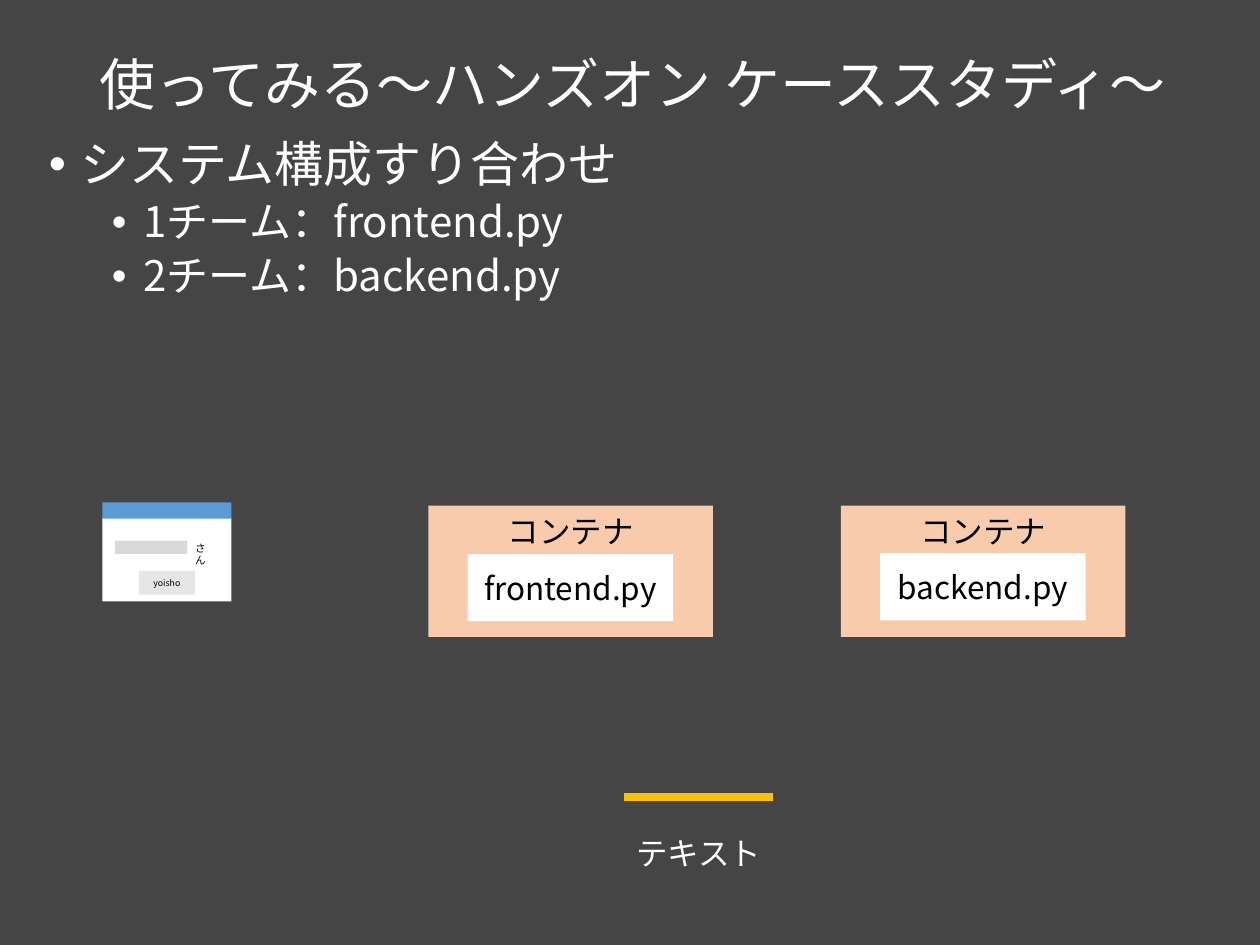
from typing import NamedTuple

from lxml.etree import SubElement as Sub
from pptx import Presentation
from pptx.dml.color import RGBColor as Rgb
from pptx.enum.shapes import MSO_CONNECTOR as Conn, MSO_SHAPE as Geo
from pptx.enum.text import MSO_ANCHOR as Anchor, MSO_AUTO_SIZE as Fit, PP_ALIGN as Align
from pptx.oxml.ns import qn
from pptx.util import Pt

FONT = "Noto Sans CJK JP"
HEX = {
    "back": "454545", "white": "FFFFFF", "black": "000000", "field": "D9D9D9",
    "button": "E7E6E6", "bar": "5B9BD5", "peach": "F8CBAD", "gold": "FFC000",
}
FRAME = {"word_wrap": True, "auto_size": Fit.NONE}


class Box(NamedTuple):
    left: float
    top: float
    width: float
    height: float
    fill: str = ""
    text: str = ""
    size: float = 18
    ink: str = "black"
    anchor: Anchor = Anchor.MIDDLE


class Item(NamedTuple):
    text: str
    size: float
    level: int
    indent: float
    space: float


def color(name: str) -> Rgb:
    return Rgb.from_string(HEX[name])


def apply(target, values: dict) -> None:
    for key, value in values.items():
        setattr(target, key, value)


def write(para, text: str, size: float, ink: str) -> None:
    run = para.add_run()
    run.text = text
    apply(run.font, {"name": FONT, "size": Pt(size)})
    run.font.color.rgb = color(ink)
    Sub(run.font._element, qn("a:ea"), typeface=FONT)


def draw(shapes, box: Box) -> None:
    place = [Pt(n) for n in box[:4]]
    if box.fill:
        shape = shapes.add_shape(Geo.RECTANGLE, *place)
        shape.shadow.inherit = False
        shape.fill.solid()
        shape.fill.fore_color.rgb = color(box.fill)
        shape.line.fill.background()
    else:
        shape = shapes.add_textbox(*place)
    if box.text:
        frame = shape.text_frame
        apply(frame, FRAME | {"vertical_anchor": box.anchor})
        para = frame.paragraphs[0]
        para.alignment = Align.CENTER if box.fill else Align.LEFT
        write(para, box.text, box.size, box.ink)


def bullet(para, item: Item) -> None:
    apply(para, {"level": item.level, "line_spacing": 0.9,
                 "space_before": Pt(item.space)})
    props = para._p.get_or_add_pPr()
    props.set("marL", str(Pt(item.indent)))
    props.set("indent", str(Pt(-18)))
    Sub(props, qn("a:buFont"), typeface="Arial")
    Sub(props, qn("a:buChar"), char="•")
    write(para, item.text, item.size, "white")


# Slide and background
deck = Presentation()
apply(deck, {"slide_width": Pt(720), "slide_height": Pt(540)})
slide = deck.slides.add_slide(deck.slide_layouts[5])
shapes = slide.shapes
slide.background.fill.solid()
slide.background.fill.fore_color.rgb = color("back")

# Title
title = shapes.title
apply(title, {"left": Pt(49.7), "top": Pt(28.8), "width": Pt(650), "height": Pt(41.8)})
apply(title.text_frame, FRAME | {"vertical_anchor": Anchor.MIDDLE})
head = title.text_frame.paragraphs[0]
apply(head, {"alignment": Align.LEFT, "line_spacing": 0.9})
write(head, "使ってみる～ハンズオン ケーススタディ～", 32, "white")

# Bullet list
items = [
    Item("システム構成すり合わせ", 28, 0, 18, 10),
    Item("1チーム：frontend.py", 24, 1, 54, 5),
    Item("2チーム：backend.py", 24, 1, 54, 5),
]
body = shapes.add_textbox(Pt(20.9), Pt(76.3), Pt(684), Pt(114.5)).text_frame
apply(body, FRAME)
for i, item in enumerate(items):
    bullet(body.add_paragraph() if i else body.paragraphs[0], item)

# Browser window
window = shapes.add_group_shape().shapes
for box in [
    Box(58.6, 296, 73.7, 47.7, "white"),
    Box(65.7, 308.9, 41.2, 7.7, "field"),
    Box(104.4, 306, 24.5, 15.1, "", "さん", 6, anchor=Anchor.TOP),
    Box(79.4, 326.2, 32, 13.6, "button", "yoisho", 5),
    Box(58.6, 287.1, 73.7, 9.3, "bar"),
]:
    draw(window, box)

# Containers, each with its script
for left, top, name in [(244.8, 316.6, "frontend.py"), (480.5, 316.1, "backend.py")]:
    draw(shapes, Box(left, 289, 162.6, 75, "peach", "コンテナ", anchor=Anchor.TOP))
    draw(shapes, Box(left + 22.5, top, 117.4, 38.4, "white", name))

# Gold line and its label
line = shapes.add_connector(Conn.STRAIGHT, Pt(356.5), Pt(455.3), Pt(441.6), Pt(455.3))
line.line.color.rgb = color("gold")
line.line.width = Pt(4.5)
Sub(line._element.spPr, qn("a:effectLst"))
draw(shapes, Box(356.5, 473, 103, 29, "", "テキスト", 18, "white", Anchor.TOP))

deck.save("out.pptx")
